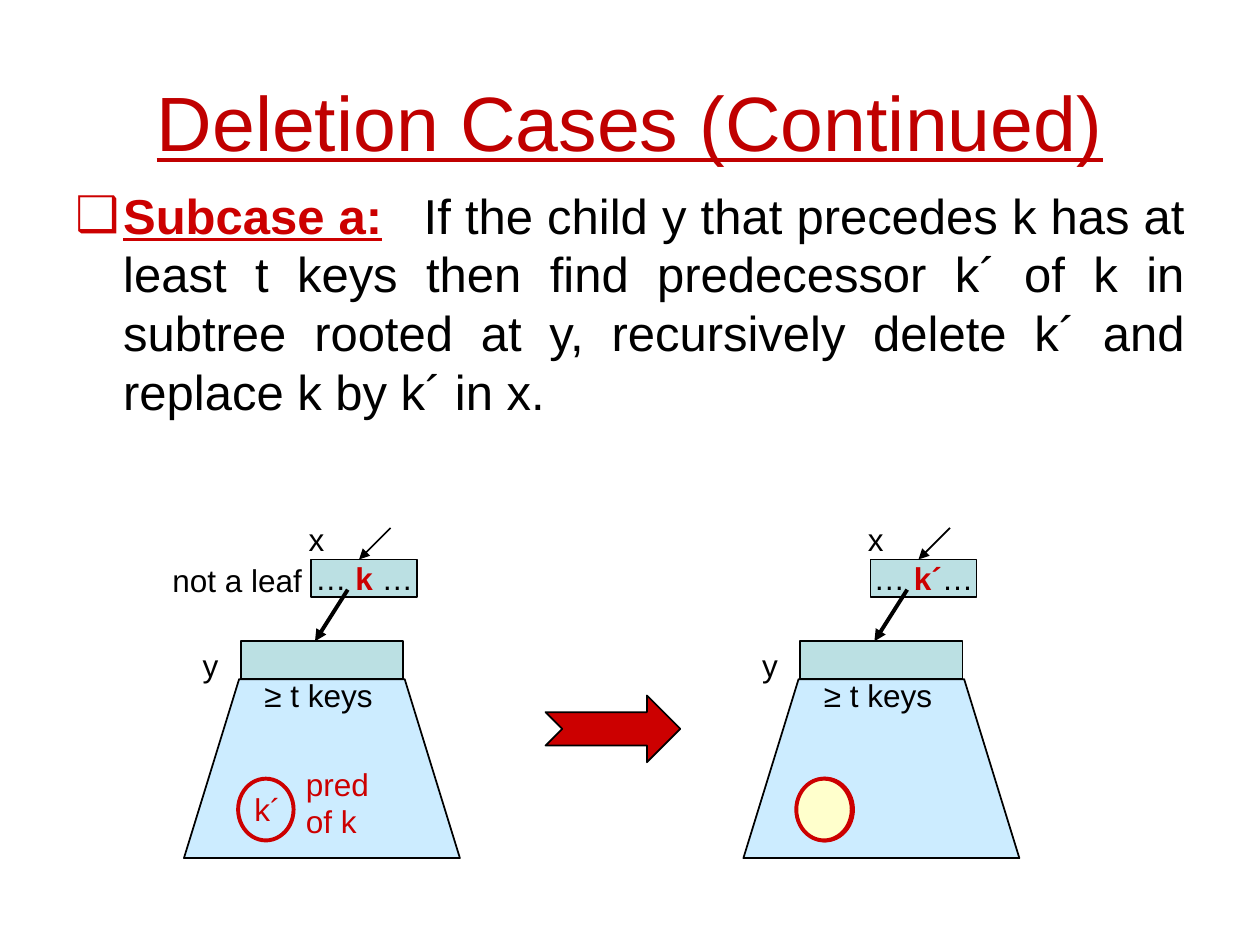
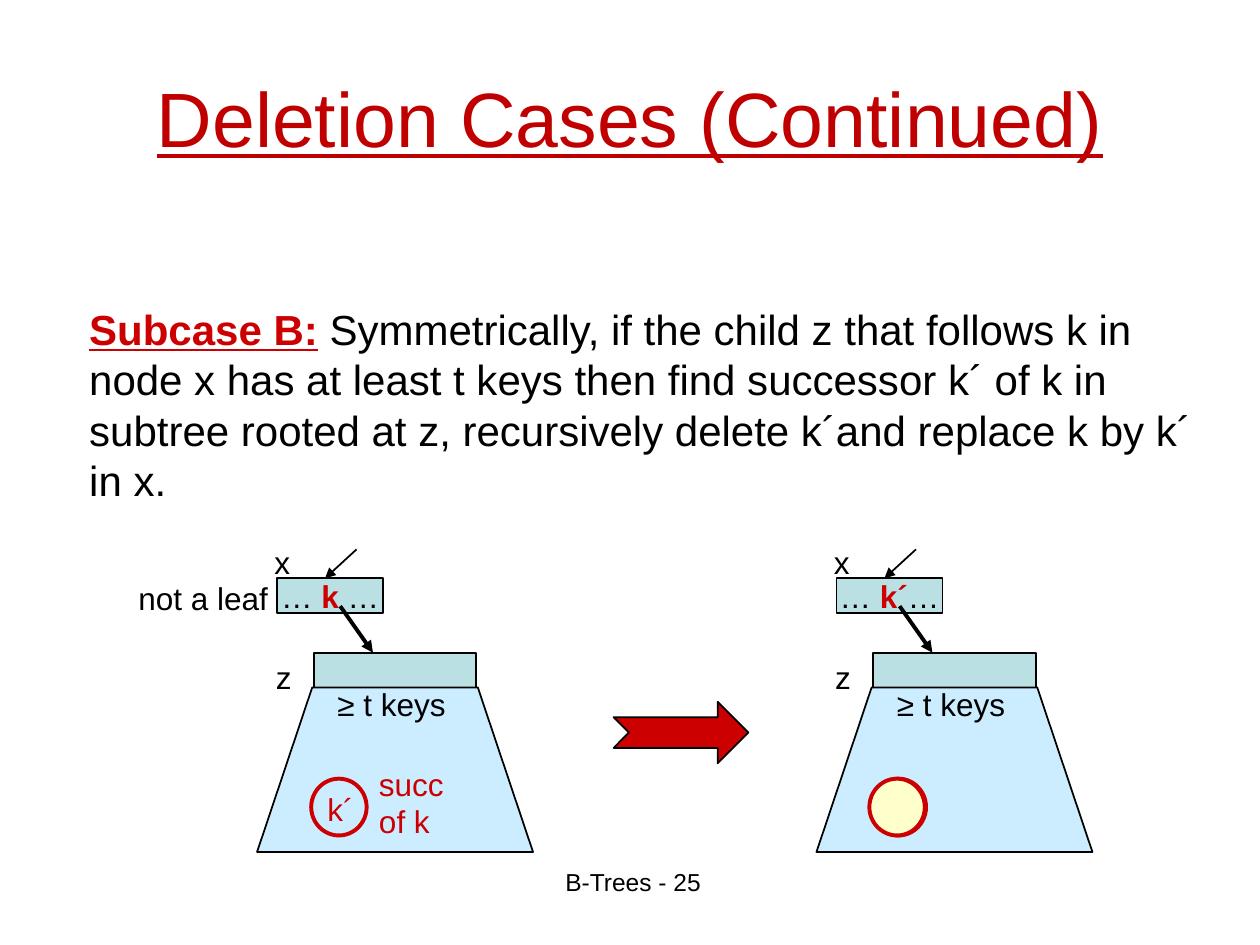
from lxml.etree import SubElement
from pptx import Presentation
from pptx.dml.color import RGBColor
from pptx.enum.shapes import MSO_CONNECTOR, MSO_SHAPE
from pptx.enum.text import MSO_ANCHOR, PP_ALIGN
from pptx.oxml.ns import qn
from pptx.util import Inches, Pt

# ---- Content ----
TITLE = "Deletion Cases (Continued)"
CASES = [
    dict(
        title_box=(0.5, 0.5, 9, 0.92),
        body_box=(0.5, 1.42, 9, 5), body_size=28, bullet="❑", label_gap=15.6,
        label="Subcase a:",
        body="If the child y that precedes k has at least t keys then find "
             "predecessor k´ of k in subtree rooted at y, recursively delete "
             "k´ and replace k by k´ in x.",
        child="y", role="pred", footer=None,
        root=(2.47, 4.44), node=(1.91, 5.09), edge=(0.29, 0.59),
        arrow=(4.33, 5.52), stretch=1,
    ),
    dict(
        title_box=(0.5, 0.3, 9, 1.25),
        body_box=(0.61, 2.36, 9.06, 1.7), body_size=24, bullet=None, label_gap=0,
        label="Subcase B:",
        body="Symmetrically, if the child z that follows k in node x has at "
             "least t keys then find successor k´ of k in subtree rooted at z, "
             "recursively delete k´and replace k by k´ in x.",
        child="z", role="succ", footer="B-Trees - 25",
        root=(2.2, 4.59), node=(2.49, 5.18), edge=(0.5, 0.47),
        arrow=(4.87, 5.57), stretch=0.92,
    ),
]

# ---- Shared style ----
FONT = "Arial"
COLORS = dict(title="C00000", accent="CC0000", ink="000000", node="BBE0E3",
              subtree="CCECFF", removed="FFFFCC")
AFTER_SHIFT = 4.44           # from the tree before to the tree after
ROOT_WIDTH, NODE_WIDTH, NODE_HEIGHT = 0.84, 1.29, 0.3
SUBTREE_WIDTH, SUBTREE_HEIGHT = 2.19, 1.42
RING_TOP, RING_WIDTH, RING_HEIGHT = 6.18, 0.44, 0.49


def color(name):
    return RGBColor.from_string(COLORS[name])


def write(para, spans, size, align=PP_ALIGN.LEFT):
    """Fill a paragraph from (text, colour, is_marked) spans."""
    para.alignment = align
    para.font.name, para.font.size = FONT, Pt(size)
    runs = []
    for text, ink, marked in spans:
        span = para.add_run()
        span.text = text
        span.font.color.rgb = color(ink)
        if marked:
            span.font.bold = True
        runs.append(span)
    return runs


def add_text(page, place, size=18, ink="ink", lines=(), wrap=False,
             align=PP_ALIGN.LEFT):
    box = page.shapes.add_textbox(*map(Inches, place))
    frame = box.text_frame
    frame.word_wrap = wrap
    for index, line in enumerate(lines):
        para = frame.add_paragraph() if index else frame.paragraphs[0]
        write(para, [(line, ink, False)], size, align)
    return box


def add_figure(page, kind, place, fill=None, line="ink", width=1):
    shape = page.shapes.add_shape(kind, *map(Inches, place))
    shape.shadow.inherit = False
    if fill:
        shape.fill.solid()
        shape.fill.fore_color.rgb = color(fill)
    else:
        shape.fill.background()
    shape.line.color.rgb = color(line)
    shape.line.width = Pt(width)
    return shape


def add_pointer(page, start, end, width):
    pointer = page.shapes.add_connector(
        MSO_CONNECTOR.STRAIGHT, *map(Inches, (*start, *end)))
    pointer.line.color.rgb = color("ink")
    pointer.line.width = Pt(width)
    SubElement(pointer.line._get_or_add_ln(), qn("a:tailEnd"), type="triangle")
    SubElement(pointer._element.spPr, qn("a:effectLst"))


def add_title(page, case):
    box = add_text(page, case["title_box"], 44, "title", [TITLE], True,
                   PP_ALIGN.CENTER)
    box.text_frame.vertical_anchor = MSO_ANCHOR.MIDDLE
    box.text_frame.paragraphs[0].font.underline = True


def add_body(page, case):
    box = add_text(page, case["body_box"], wrap=True)
    para = box.text_frame.paragraphs[0]
    align = PP_ALIGN.LEFT
    if case["bullet"]:
        align = PP_ALIGN.JUSTIFY
        props = para._p.get_or_add_pPr()
        props.set("marL", str(Inches(0.38)))
        props.set("indent", str(-Inches(0.38)))
        tint = SubElement(props, qn("a:buClr"))
        SubElement(tint, qn("a:srgbClr"), val=COLORS["accent"])
        SubElement(props, qn("a:buFont"), typeface=FONT)
        SubElement(props, qn("a:buChar"), char=case["bullet"])
    label, gap, _ = write(para, [(case["label"], "accent", True),
                                 (" ", "ink", False),
                                 (case["body"], "ink", False)],
                          case["body_size"], align)
    label.font.underline = True
    if case["label_gap"]:
        gap._r.get_or_add_rPr().set("spc", str(round(case["label_gap"] * 100)))


def add_tree(page, case, after):
    shift = AFTER_SHIFT * after
    stretch = case["stretch"]
    (root_x, root_y), (node_x, node_y) = case["root"], case["node"]
    root_x, node_x = root_x + shift, node_x + shift
    height = NODE_HEIGHT * stretch

    # Root node x
    root = add_figure(page, MSO_SHAPE.RECTANGLE,
                      (root_x, root_y, ROOT_WIDTH, height), "node")
    root.text_frame.word_wrap = False
    root.text_frame.vertical_anchor = MSO_ANCHOR.MIDDLE
    key, rest = ("k´", "…") if after else ("k", " …")
    write(root.text_frame.paragraphs[0],
          [("… ", "ink", False), (key, "accent", True), (rest, "ink", False)],
          18, PP_ALIGN.CENTER)
    add_text(page, (root_x - 0.12, root_y - 0.36 * stretch, 0.32, 0.4), lines=["x"])
    add_pointer(page, (root_x + 0.63, root_y - 0.25 * stretch),
                (root_x + 0.38, root_y), 1)
    if not after:
        add_text(page, (root_x - 1.2, root_y - 0.04, 1.23, 0.4), lines=["not a leaf"])

    # Child node and its subtree
    add_figure(page, MSO_SHAPE.RECTANGLE, (node_x, node_y, NODE_WIDTH, height), "node")
    add_text(page, (node_x - 0.4, node_y - 0.01, 0.32, 0.4), lines=[case["child"]])
    edge_start, edge_end = case["edge"]
    add_pointer(page, (root_x + edge_start, root_y + 0.24 * stretch),
                (node_x + edge_end, node_y), 2.25)
    subtree_y, subtree_height = node_y + height, SUBTREE_HEIGHT * stretch
    subtree = add_figure(page, MSO_SHAPE.TRAPEZOID,
                         (node_x - 0.45, subtree_y, SUBTREE_WIDTH, subtree_height),
                         "subtree")
    subtree.adjustments[0] = SUBTREE_WIDTH / 5 / subtree_height
    add_text(page, (node_x + 0.09, subtree_y - 0.07, 1.12, 0.4), lines=["≥ t keys"])

    # Replacement key: present before, removed after
    ring = (node_x - 0.02, RING_TOP, RING_WIDTH, RING_HEIGHT * stretch)
    add_figure(page, MSO_SHAPE.OVAL, ring, None, "accent", 2.25)
    if after:
        add_figure(page, MSO_SHAPE.OVAL, (ring[0] - 0.01, *ring[1:]), "removed",
                   "accent", 2.25)
    else:
        add_text(page, (node_x + 0.01, 6.22, 0.48, 0.4), ink="accent", lines=["k´"])
        add_text(page, (node_x + 0.42, 6.02, 0.9, 0.7), ink="accent",
                 lines=[case["role"], "of k"], wrap=True)


def main():
    deck = Presentation()
    deck.slide_width, deck.slide_height = Inches(10), Inches(7.5)
    for case in CASES:
        page = deck.slides.add_slide(deck.slide_layouts[6])
        add_title(page, case)
        add_body(page, case)
        for after in (False, True):
            add_tree(page, case, after)
        add_figure(page, MSO_SHAPE.NOTCHED_RIGHT_ARROW,
                   (*case["arrow"], 1.07, 0.53 * case["stretch"]), "accent")
        if case["footer"]:
            add_text(page, (3.44, 6.83, 3.17, 0.52), 14, lines=[case["footer"]],
                     wrap=True, align=PP_ALIGN.CENTER)
    deck.save("out.pptx")


if __name__ == "__main__":
    main()
